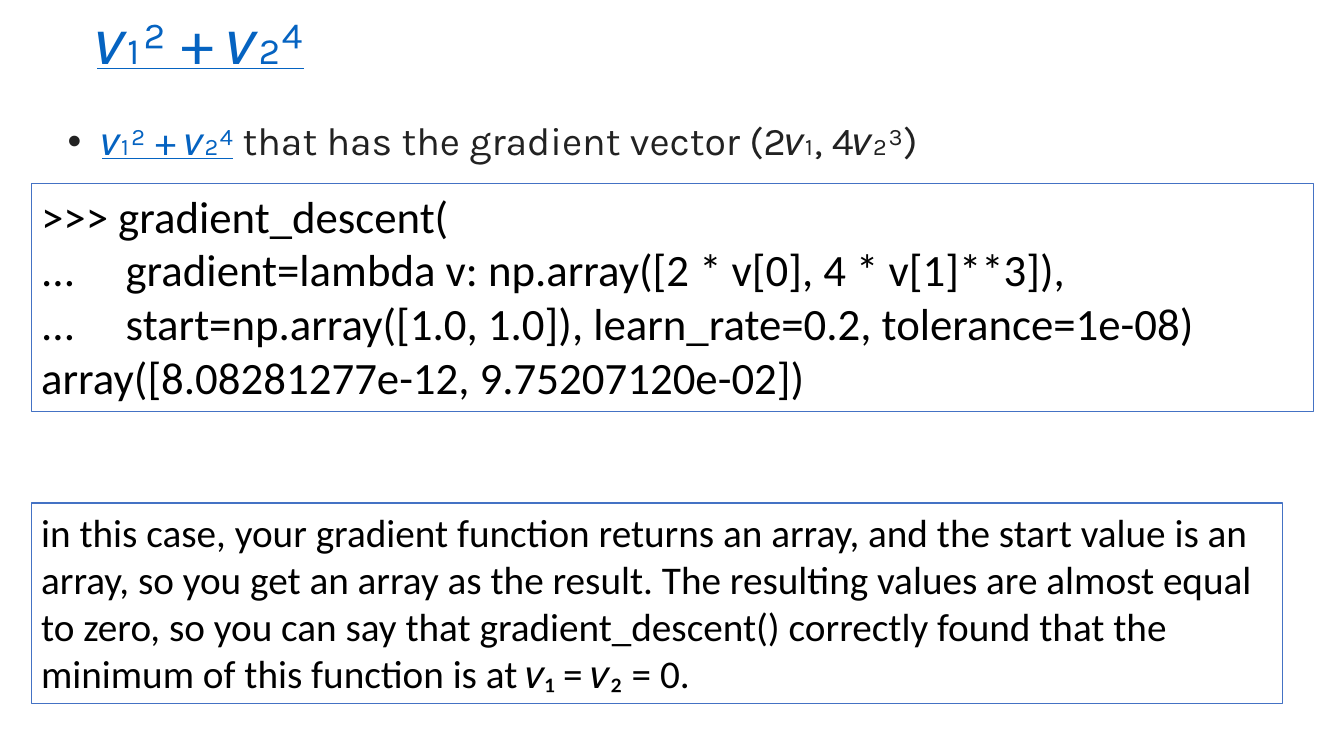
from lxml.etree import SubElement
from pptx import Presentation
from pptx.dml.color import RGBColor
from pptx.enum.shapes import MSO_SHAPE
from pptx.enum.text import MSO_ANCHOR, MSO_AUTO_SIZE, PP_ALIGN
from pptx.oxml.ns import qn
from pptx.util import Inches, Pt

INK = RGBColor(0x22, 0x22, 0x22)
LINK = RGBColor(0x05, 0x63, 0xC1)
BLACK = RGBColor(0x00, 0x00, 0x00)
OUTLINE = RGBColor(0x44, 0x72, 0xC4)

FORMULA = "𝑣₁² + 𝑣₂⁴"
CODE = [
    ">>> gradient_descent(",
    "...     gradient=lambda v: np.array([2 * v[0], 4 * v[1]**3]),",
    "...     start=np.array([1.0, 1.0]), learn_rate=0.2, tolerance=1e-08)",
    "array([8.08281277e-12, 9.75207120e-02])",
]
EXPLANATION = [
    "in this case, your gradient function returns an array, and the start value "
    "is an array, so you get an array as the result. The resulting values are "
    "almost equal to zero, so you can say that gradient_descent() correctly found "
    "that the minimum of this function is at 𝑣₁ = 𝑣₂ = 0."
]


class SlideBuilder:
    heading_font = "Karla"
    text_font = "Calibri"

    def __init__(self, page):
        self.page = page

    def add_span(self, para, text, font, size, color, underline=None):
        span = para.add_run()
        span.text = text
        span.font.name = font
        span.font.size = Pt(size)
        span.font.color.rgb = color
        span.font.underline = underline

    def fill_placeholder(self, box, left, top, size, anchor, spans):
        box.left, box.top = Inches(left), Inches(top)
        box.width, box.height = Inches(11.5), Inches(0.89)
        frame = box.text_frame
        frame.word_wrap = True
        frame.auto_size = MSO_AUTO_SIZE.NONE
        frame.vertical_anchor = anchor
        para = frame.paragraphs[0]
        para.alignment = PP_ALIGN.LEFT
        para.line_spacing = 0.9
        for text, color, underline in spans:
            self.add_span(para, text, self.heading_font, size, color, underline)
        return para

    def title(self, spans):
        self.fill_placeholder(
            self.page.shapes.title, 0.72, 0, 44, MSO_ANCHOR.MIDDLE, spans)

    def bullet(self, spans):
        para = self.fill_placeholder(
            self.page.placeholders[1], 0.57, 1.16, 28, MSO_ANCHOR.TOP, spans)
        para.space_before = Pt(10)
        properties = para._p.get_or_add_pPr()
        properties.set("marL", str(Inches(0.25)))
        properties.set("indent", str(-Inches(0.25)))
        SubElement(properties, qn("a:buFont")).set("typeface", "Arial")
        SubElement(properties, qn("a:buChar")).set("char", "•")

    def framed_text(self, top, width, height, size, lines):
        box = self.page.shapes.add_shape(
            MSO_SHAPE.RECTANGLE, Inches(0.31), Inches(top), Inches(width), Inches(height))
        box.shadow.inherit = False
        box.fill.background()
        box.line.color.rgb = OUTLINE
        box.line.width = Pt(0.75)
        frame = box.text_frame
        frame.word_wrap = True
        frame.auto_size = MSO_AUTO_SIZE.SHAPE_TO_FIT_TEXT
        frame.vertical_anchor = MSO_ANCHOR.TOP
        for index, line in enumerate(lines):
            para = frame.add_paragraph() if index else frame.paragraphs[0]
            para.alignment = PP_ALIGN.LEFT
            self.add_span(para, line, self.text_font, size, BLACK)


def main():
    deck = Presentation()
    deck.slide_width, deck.slide_height = Inches(13.33), Inches(7.5)
    builder = SlideBuilder(deck.slides.add_slide(deck.slide_layouts[1]))
    formula_spans = [("\u00a0", INK, False), (FORMULA, LINK, True)]
    builder.title(formula_spans)
    builder.bullet(formula_spans + [
        ("\u00a0that has the gradient vector (2𝑣₁, 4𝑣₂³)", INK, False)])
    builder.framed_text(1.82, 12.72, 2.26, 32, CODE)
    builder.framed_text(4.99, 12.41, 1.99, 28, EXPLANATION)
    deck.save("out.pptx")


if __name__ == "__main__":
    main()
